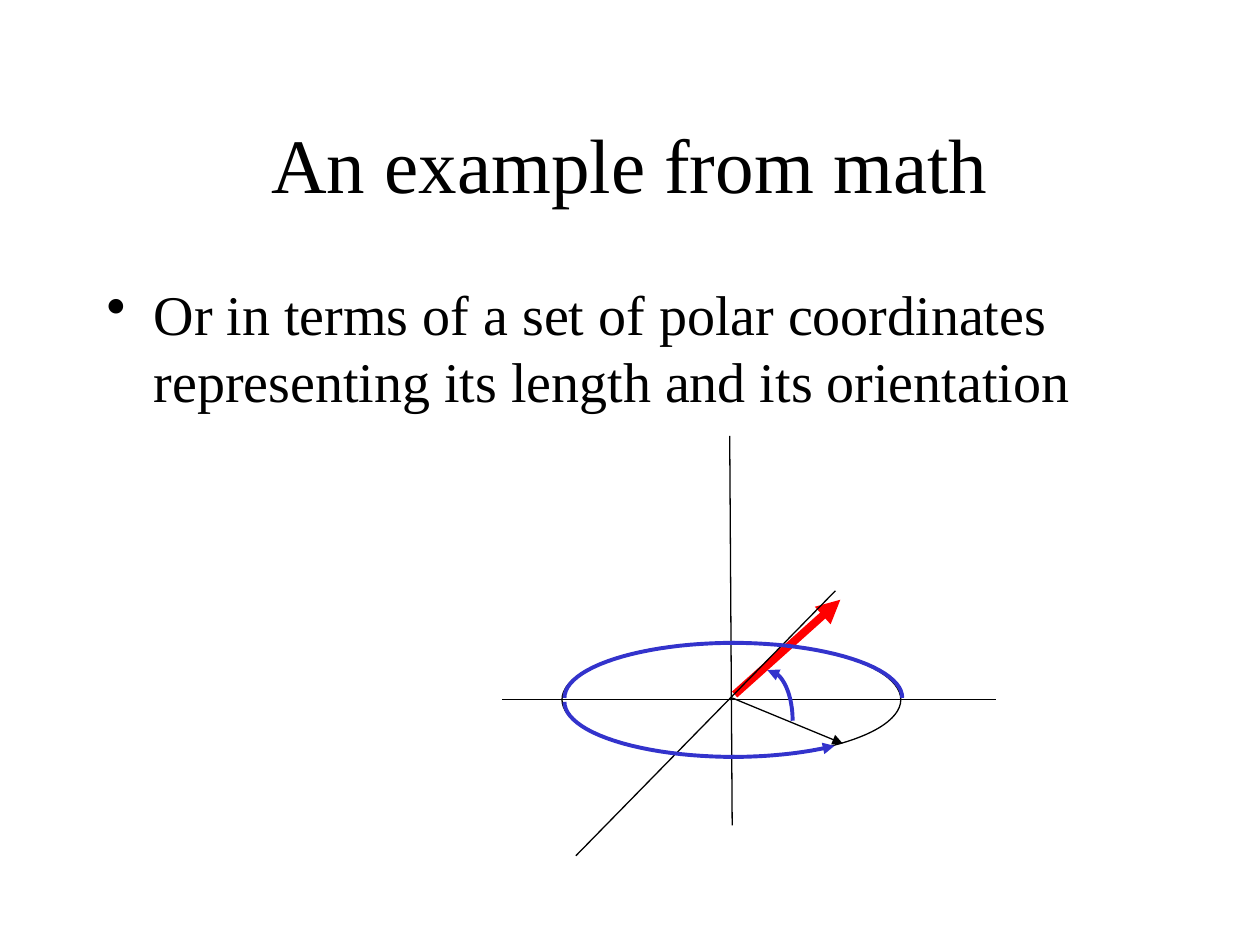
from dataclasses import dataclass
from math import cos, radians, sin

from lxml import etree
from pptx import Presentation
from pptx.dml.color import RGBColor
from pptx.enum.text import MSO_ANCHOR, PP_ALIGN
from pptx.enum.shapes import MSO_CONNECTOR, MSO_SHAPE
from pptx.oxml.ns import qn
from pptx.util import Cm, Pt

STRAIGHT = MSO_CONNECTOR.STRAIGHT
OVAL = MSO_SHAPE.OVAL
MIDDLE = MSO_ANCHOR.MIDDLE
TOP = MSO_ANCHOR.TOP
CENTER = PP_ALIGN.CENTER
LEFT = PP_ALIGN.LEFT
FONT = "Times New Roman"
COLORS = {"ink": "000000", "vector": "FF0000", "arc": "3333CC"}
STEPS = 24


@dataclass
class Line:
    start: tuple[float, float]
    end: tuple[float, float]
    color: str = "ink"
    width: float = 0.75
    tip: str = ""


@dataclass
class Arc:
    center: tuple[float, float]
    radii: tuple[float, float]
    first: float
    last: float
    tip: str = ""


@dataclass
class Label:
    text: str
    top: float
    height: float
    size: float
    align: PP_ALIGN
    anchor: MSO_ANCHOR
    bullet: str = ""


LINES = [
    Line((14.81, 14), (16.94, 12.09), "vector", 4.5, "tailEnd"),
    Line((20.07, 14.1), (10.11, 14.1)),
    Line((14.71, 8.79), (14.76, 16.64)),
    Line((11.61, 17.25), (16.84, 11.91)),
    Line((14.76, 14.07), (16.99, 14.99), tip="tailEnd"),
]
WIDE = (3.43, 1.11)
ARCS = [
    Arc((14.76, 14.07), WIDE, 270, 360),
    Arc((14.81, 14.07), WIDE, 270, 180),
    Arc((14.81, 14.15), WIDE, 90, 180),
    Arc((14.76, 14.15), WIDE, 90, 53, "tailEnd"),
    Arc((15.47, 14.53), (0.51, 1.02), 270, 360, "headEnd"),
]
LABELS = [
    Label("An example from math", 1.7, 3.18, 44, CENTER, MIDDLE),
    Label("Or in terms of a set of polar coordinates representing "
          "its length and its orientation", 5.51, 11.43, 32, LEFT, TOP, "•"),
]


def style(shape, color: str, width: float, tip: str = "") -> None:
    shape.line.color.rgb = RGBColor.from_string(COLORS[color])
    shape.line.width = Pt(width)
    if tip:
        etree.SubElement(shape.line._get_or_add_ln(), qn(f"a:{tip}"), type="triangle")


def draw_line(slide, line: Line) -> None:
    ends = [Cm(v) for v in (*line.start, *line.end)]
    shape = slide.shapes.add_connector(STRAIGHT, *ends)
    style(shape, line.color, line.width, line.tip)
    etree.SubElement(shape._element.spPr, qn("a:effectLst"))


def draw_arc(slide, arc: Arc) -> None:
    points = []
    for i in range(STEPS + 1):
        angle = radians(arc.first + (arc.last - arc.first) * i / STEPS)
        points.append((Cm(arc.center[0] + arc.radii[0] * cos(angle)),
                       Cm(arc.center[1] + arc.radii[1] * sin(angle))))
    pen = slide.shapes.build_freeform(*points[0])
    pen.add_line_segments(points[1:], close=False)
    shape = pen.convert_to_shape()
    shape.fill.background()
    shape.shadow.inherit = False
    style(shape, "arc", 2.25, arc.tip)


def draw_ring(slide) -> None:
    ring = slide.shapes.add_shape(OVAL, Cm(11.33), Cm(12.95), Cm(6.83), Cm(2.31))
    ring.fill.background()
    ring.shadow.inherit = False
    style(ring, "ink", 0.75)


def draw_label(slide, label: Label) -> None:
    box = slide.shapes.add_textbox(Cm(1.9), Cm(label.top), Cm(21.59), Cm(label.height))
    frame = box.text_frame
    frame.word_wrap = True
    frame.vertical_anchor = label.anchor
    frame.text = label.text
    para = frame.paragraphs[0]
    para.alignment = label.align
    if label.bullet:
        props = para._p.get_or_add_pPr()
        props.set("marL", str(Cm(0.95)))
        props.set("indent", str(Cm(-0.95)))
        etree.SubElement(props, qn("a:buChar"), char=label.bullet)
    font = para.runs[0].font
    font.name = FONT
    font.size = Pt(label.size)
    font.color.rgb = RGBColor.from_string(COLORS["ink"])


def main() -> None:
    deck = Presentation()
    deck.slide_width, deck.slide_height = Cm(25.4), Cm(19.05)
    slide = deck.slides.add_slide(deck.slide_layouts[6])
    for label in LABELS:
        draw_label(slide, label)
    for line in LINES:
        draw_line(slide, line)
    draw_ring(slide)
    for arc in ARCS:
        draw_arc(slide, arc)
    deck.save("out.pptx")


if __name__ == "__main__":
    main()
